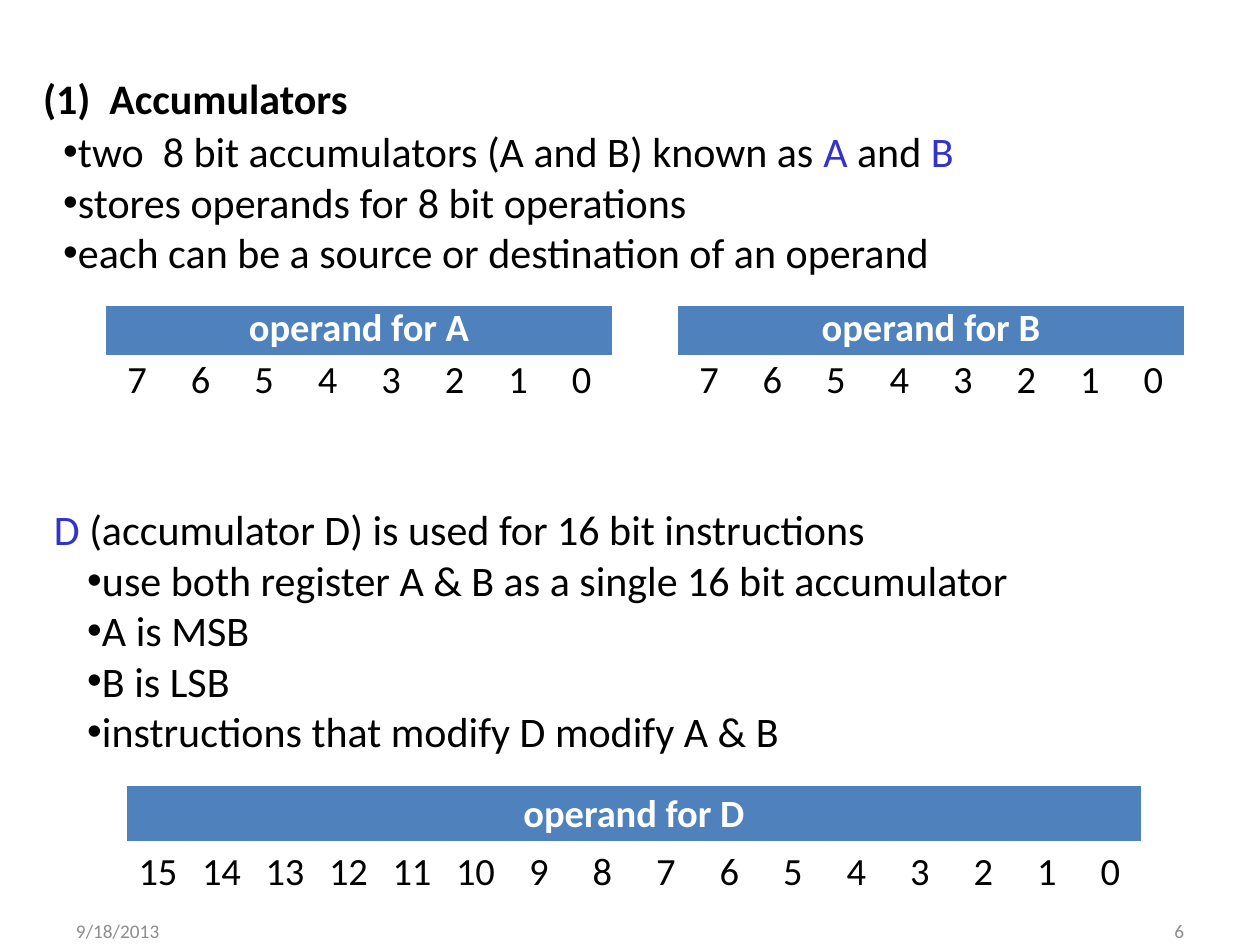
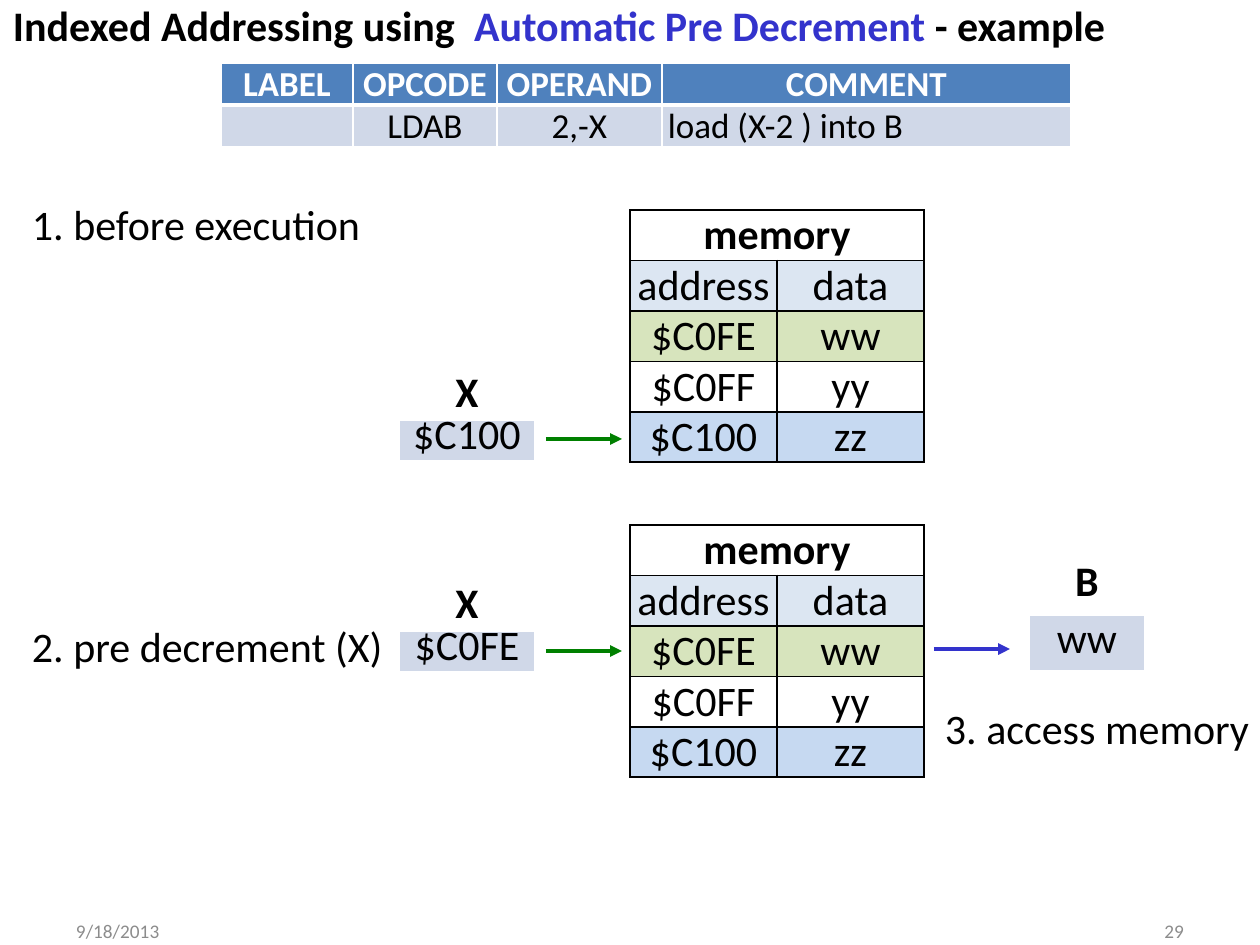
from dataclasses import dataclass

from lxml import etree
from pptx import Presentation
from pptx.dml.color import RGBColor
from pptx.enum.shapes import MSO_CONNECTOR
from pptx.enum.text import MSO_ANCHOR, PP_ALIGN
from pptx.oxml.ns import qn
from pptx.util import Pt

EMU_PER_PX = 914400 / 126
LEFT, CENTER, RIGHT = PP_ALIGN.LEFT, PP_ALIGN.CENTER, PP_ALIGN.RIGHT
MIDDLE = MSO_ANCHOR.MIDDLE
STRAIGHT = MSO_CONNECTOR.STRAIGHT


@dataclass(frozen=True)
class Theme:
    font: str = "Calibri"
    black: str = "000000"
    white: str = "FFFFFF"
    accent: str = "3333CC"
    green: str = "008000"
    gray: str = "8C8C8C"
    header: str = "4F81BD"
    value: str = "D0D8E8"
    caption: str = "DCE6F2"
    target: str = "D7E4BD"
    pointer: str = "C6D9F1"
    body_size: int = 24
    register_size: int = 22
    code_size: int = 20
    footer_size: int = 11


theme = Theme()


def px(length):
    return round(length * EMU_PER_PX)


def add_text(slide, box, paragraphs, size=theme.body_size, color=theme.black,
             bold=False, align=LEFT, bullet_margin=0):
    """Each paragraph is (bulleted, runs); a run is (text, color or None)."""
    frame = slide.shapes.add_textbox(*map(px, box)).text_frame
    frame.word_wrap = True
    frame.margin_left = frame.margin_right = frame.margin_top = frame.margin_bottom = 0
    for index, (bulleted, runs) in enumerate(paragraphs):
        paragraph = frame.add_paragraph() if index else frame.paragraphs[0]
        paragraph.alignment = align
        if bulleted:
            properties = paragraph._p.get_or_add_pPr()
            properties.set("marL", str(px(bullet_margin)))
            properties.set("indent", str(px(-15)))
            etree.SubElement(properties, qn("a:buFont"), typeface="Arial")
            etree.SubElement(properties, qn("a:buChar"), char="•")
        paragraph.font.name = theme.font
        paragraph.font.size = Pt(size)
        paragraph.font.bold = bold
        paragraph.font.color.rgb = RGBColor.from_string(color)
        for text, run_color in runs:
            run = paragraph.add_run()
            run.text = text
            if run_color:
                run.font.color.rgb = RGBColor.from_string(run_color)
    return frame


def add_table(slide, left, top, widths, row_height, rows, fills, size=theme.body_size,
              head_color=theme.black, border=theme.white, head_rule=3,
              pad_top=0, pad_bottom=0, line_spacing=None):
    """The first row is the bold head; a row with one text spans all columns."""
    table = slide.shapes.add_table(
        len(rows), len(widths), px(left), px(top),
        px(sum(widths)), px(row_height * len(rows))).table
    table.first_row = table.horz_banding = False
    for column, width in zip(table.columns, widths):
        column.width = px(width)
    for row_index, (texts, fill) in enumerate(zip(rows, fills)):
        is_head = row_index == 0
        table.rows[row_index].height = px(row_height)
        if len(texts) < len(widths):
            table.cell(row_index, 0).merge(table.cell(row_index, len(widths) - 1))
        for column_index in range(len(widths)):
            cell = table.cell(row_index, column_index)
            cell.margin_left = cell.margin_right = 0
            cell.margin_top, cell.margin_bottom = px(pad_top), px(pad_bottom)
            if fill:
                cell.fill.solid()
                cell.fill.fore_color.rgb = RGBColor.from_string(fill)
            else:
                cell.fill.background()
            properties = cell._tc.get_or_add_tcPr()
            for position, side in enumerate(("lnL", "lnR", "lnT", "lnB")):
                points = head_rule if is_head and side == "lnB" else 1
                line = etree.Element(qn(f"a:{side}"), w=str(Pt(points)))
                solid = etree.SubElement(line, qn("a:solidFill"))
                etree.SubElement(solid, qn("a:srgbClr"), val=border)
                properties.insert(position, line)
            paragraph = cell.text_frame.paragraphs[0]
            paragraph.alignment = CENTER
            if line_spacing:
                paragraph.line_spacing = Pt(line_spacing)
            paragraph.font.name = theme.font
            paragraph.font.size = Pt(size)
            paragraph.font.bold = is_head
            paragraph.font.color.rgb = RGBColor.from_string(
                head_color if is_head else theme.black)
            if column_index < len(texts) and texts[column_index]:
                paragraph.add_run().text = texts[column_index]
    return table


presentation = Presentation()
presentation.slide_width, presentation.slide_height = px(1260), px(945)
blank = presentation.slide_layouts[6]
accumulators = presentation.slides.add_slide(blank)
addressing = presentation.slides.add_slide(blank)

for slide, number in ((accumulators, "6"), (addressing, "29")):
    for left, text, align in ((76, "9/18/2013", LEFT), (890, number, RIGHT)):
        footer = add_text(slide, (left, 919, 294, 23), [(False, [(text, None)])],
                          theme.footer_size, theme.gray, align=align)
        footer.vertical_anchor = MIDDLE

# Accumulators
add_text(accumulators, (43, 73, 400, 50), [(False, [("(1)  Accumulators", None)])], bold=True)
add_text(accumulators, (63, 126, 1000, 152), [
    (True, [("two  8 bit accumulators (A and B) known as ", None), ("A", theme.accent),
            (" and ", None), ("B", theme.accent)]),
    (True, [("stores operands for 8 bit operations", None)]),
    (True, [("each can be a source or destination of an operand", None)]),
], bullet_margin=15)
add_text(accumulators, (54, 504, 1060, 254), [
    (False, [("D ", theme.accent), ("(accumulator D) is used for 16 bit instructions", None)]),
    (True, [("use both register A & B as a single 16 bit accumulator", None)]),
    (True, [("A is MSB", None)]),
    (True, [("B is LSB", None)]),
    (True, [("instructions that modify D modify A & B", None)]),
], bullet_margin=48)

for register, left, top, bits, row_height, pad_top in (
        ("A", 105, 305, 8, 52, 0), ("B", 677, 305, 8, 52, 0), ("D", 126, 785, 16, 58, 6)):
    bit_numbers = [str(bit) for bit in reversed(range(bits))]
    add_table(accumulators, left, top, [64, 63] * (bits // 2), row_height,
              [[f"operand for {register}"], bit_numbers], [theme.header, None],
              theme.register_size, theme.white, pad_top=pad_top, pad_bottom=6)

# Indexed addressing
add_text(addressing, (13, 0, 1200, 50), [(False, [
    ("Indexed Addressing using ", None), (" Automatic Pre Decrement", theme.accent),
    (" - example", None)])], bold=True)
instruction = add_table(
    addressing, 221, 63, [132, 144, 165, 409], 42,
    [["LABEL", "OPCODE", "OPERAND", "COMMENT"], ["", "LDAB", "2,-X", "load (X-2 ) into B"]],
    [theme.header, theme.value], theme.code_size, theme.white)
comment = instruction.cell(1, 3)
comment.margin_left = px(6)
comment.text_frame.paragraphs[0].alignment = LEFT

memory_rows = [["memory"], ["address", "data"], ["$C0FE", "ww"], ["$C0FF", "yy"], ["$C100", "zz"]]
memory_fills = [None, theme.caption, theme.target, None, theme.pointer]
for memory_top, pointer_top, pointer in ((210, 377, "$C100"), (525, 588, "$C0FE")):
    add_table(addressing, 630, memory_top, [147, 147], 50, memory_rows, memory_fills,
              border=theme.black, head_rule=1)
    add_table(addressing, 399, pointer_top, [136], 42, [["X"], [pointer]],
              [None, theme.value], line_spacing=24)
add_table(addressing, 1029, 557, [116], 57, [["B"], ["ww"]], [None, theme.value], pad_bottom=6)

for left, top, step in ((32, 199, "1. before execution"), (32, 621, "2. pre decrement (X)"),
                        (945, 703, "3. access memory")):
    add_text(addressing, (left, top, 365 if left == 32 else 314, 50), [(False, [(step, None)])])

for left, y, color in ((546, 439, theme.green), (546, 651, theme.green), (934, 649, theme.accent)):
    arrow = addressing.shapes.add_connector(STRAIGHT, px(left), px(y), px(left + 76), px(y))
    arrow.line.color.rgb = RGBColor.from_string(color)
    arrow.line.width = Pt(2.25)
    etree.SubElement(arrow.line._get_or_add_ln(), qn("a:tailEnd"), type="triangle")
    etree.SubElement(arrow._element.spPr, qn("a:effectLst"))

presentation.save("out.pptx")
